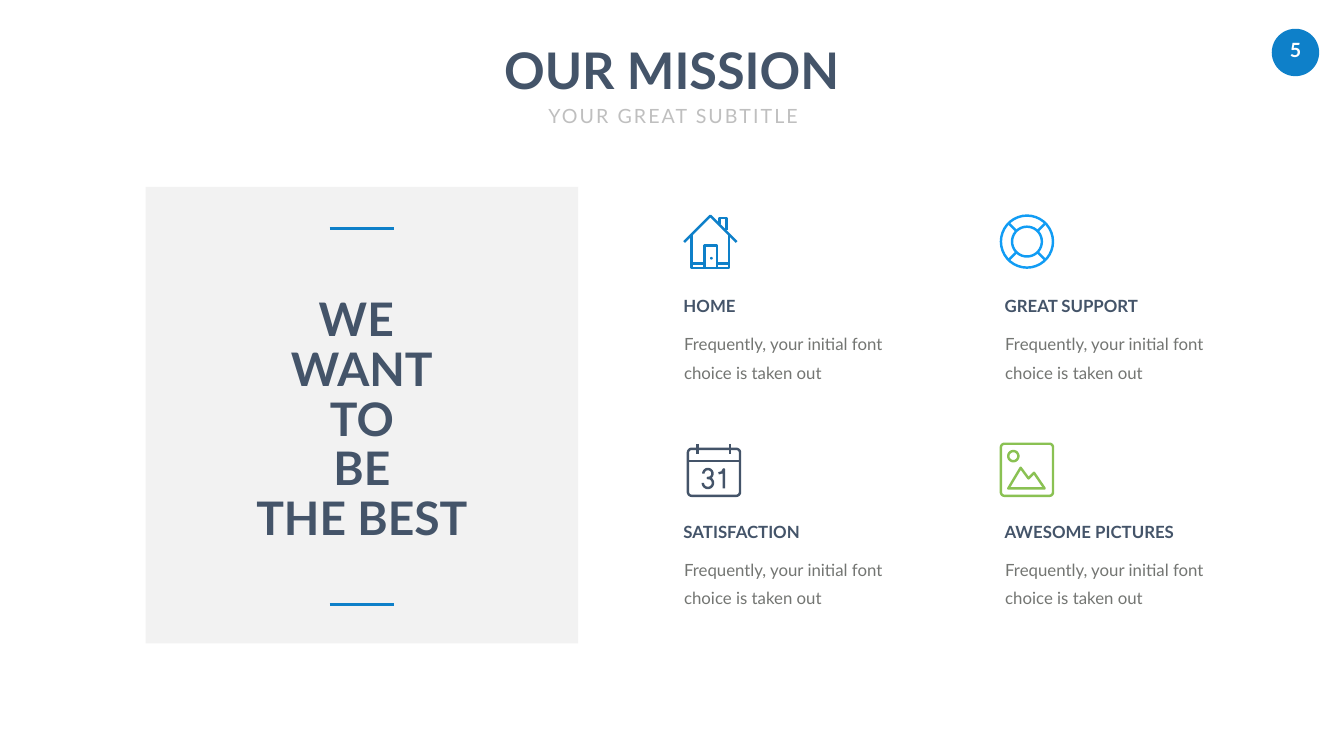
from math import cos, radians, sin

from lxml import etree
from pptx import Presentation
from pptx.dml.color import RGBColor
from pptx.enum.shapes import MSO_CONNECTOR, MSO_SHAPE
from pptx.enum.text import MSO_ANCHOR, MSO_AUTO_SIZE, PP_ALIGN
from pptx.oxml.ns import qn
from pptx.util import Cm, Pt

BLUE = RGBColor(0x0E, 0x80, 0xC9)
SKY = RGBColor(0x11, 0x9C, 0xF4)
NAVY = RGBColor(0x44, 0x54, 0x69)
GREEN = RGBColor(0x8A, 0xC1, 0x53)
GREY = RGBColor(0x73, 0x75, 0x72)
SILVER = RGBColor(0xBF, 0xBF, 0xBF)
PALE = RGBColor(0xF2, 0xF2, 0xF2)
WHITE = RGBColor(0xFF, 0xFF, 0xFF)

LEFT, CENTER = PP_ALIGN.LEFT, PP_ALIGN.CENTER
TOP, MIDDLE = MSO_ANCHOR.TOP, MSO_ANCHOR.MIDDLE
GROW = MSO_AUTO_SIZE.SHAPE_TO_FIT_TEXT
OVAL, RECT = MSO_SHAPE.OVAL, MSO_SHAPE.RECTANGLE
STRAIGHT = MSO_CONNECTOR.STRAIGHT

SMALL, WIDE, ROOMY = (0.25, 0.13), (0.51, 0.25), (0.61, 0.3)
GRID = 108
SIDE = 2.75


def set_all(item, values):
    """Set each attribute of item from a dict."""
    for name, value in values.items():
        setattr(item, name, value)


def add_text(slide, box, lines, size, color, bold=False, align=LEFT, inset=SMALL,
             wrap=False, anchor=TOP, spacing=None, track=0):
    """Add a text box with one paragraph for each line."""
    frame = slide.shapes.add_textbox(*map(Cm, box)).text_frame
    across, down = map(Cm, inset)
    set_all(frame, {"margin_left": across, "margin_right": across,
                    "margin_top": down, "margin_bottom": down, "word_wrap": wrap,
                    "auto_size": GROW, "vertical_anchor": anchor})
    for index, line in enumerate(lines):
        para = frame.add_paragraph() if index else frame.paragraphs[0]
        set_all(para, {"alignment": align, "line_spacing": spacing})
        run = para.add_run()
        run.text = line
        set_all(run.font, {"name": "Lato", "size": Pt(size), "bold": bold})
        run.font.color.rgb = color
        if track:
            run._r.get_or_add_rPr().set("spc", str(track))


def add_solid(slide, kind, box, color):
    """Add a filled preset shape without a line."""
    shape = slide.shapes.add_shape(kind, *map(Cm, box))
    shape.shadow.inherit = False
    shape.fill.solid()
    shape.fill.fore_color.rgb = color
    shape.line.fill.background()


def add_rule(slide, left, top, width):
    """Add a level blue line."""
    rule = slide.shapes.add_connector(STRAIGHT, *map(Cm, (left, top, left + width, top)))
    rule.line.color.rgb = BLUE
    rule.line.width = Pt(4.5)
    etree.SubElement(rule._element.spPr, qn("a:effectLst"))


def arc(x, y, radius, start=0, end=360):
    """Return points along an arc, clockwise in degrees."""
    steps = 36
    turns = [radians(start + (end - start) * i / steps) for i in range(steps + 1)]
    return [(x + radius * cos(t), y + radius * sin(t)) for t in turns]


def frame_path(left, top, right, base, radius):
    """Return the points of a closed box with round corners."""
    spots = [(right - radius, base - radius), (left + radius, base - radius),
             (left + radius, top + radius), (right - radius, top + radius)]
    points = [point for i, (x, y) in enumerate(spots)
              for point in arc(x, y, radius, 90 * i, 90 * i + 90)]
    return points + points[:1]


def house():
    """Return the strokes of the house icon."""
    return [[(2, 55), (54, 3), (106, 55)],
            [(17, 41), (17, 106), (91, 106), (91, 41)],
            [(17, 97), (42, 97)], [(67, 97), (91, 97)],
            [(42, 106), (42, 62), (67, 62), (67, 106)],
            [(72, 20), (72, 7), (86, 7), (86, 32)], arc(56, 87, 0.3)]


def buoy():
    """Return the strokes of the life ring icon."""
    mid, inner, outer = 54, 29.5, 51.5
    spokes = [[(mid + r * cos(t), mid + r * sin(t)) for r in (inner, outer)]
              for t in map(radians, range(45, 360, 90))]
    return [arc(mid, mid, inner), arc(mid, mid, outer)] + spokes


def month():
    """Return the strokes of the calendar icon."""
    return [frame_path(2.5, 12.5, 105.5, 105.5, 7.5), [(2.5, 36.5), (105.5, 36.5)],
            [(21.5, 2.5), (21.5, 22)], [(85.5, 2.5), (85.5, 22)],
            arc(42, 61.5, 9, 180, 450) + arc(42, 80, 10, 270, 540),
            [(63, 61), (70, 59), (73.5, 53), (73.5, 91)]]


def photo():
    """Return the strokes of the picture icon."""
    return [frame_path(2.5, 2.5, 105.5, 105.5, 7), arc(27, 27, 10),
            [(17, 91), (41.5, 50), (57, 71), (68, 60), (89, 91), (17, 91)]]


def add_icon(slide, left, top, strokes, color):
    """Draw all strokes as one outline."""
    unit = Cm(SIDE) / GRID / 100
    paths = [[(x * 100, y * 100) for x, y in path] for path in strokes]
    pen = slide.shapes.build_freeform(*paths[0][0], scale=unit)
    pen.add_line_segments(paths[0][1:], close=False)
    for path in paths[1:]:
        pen.move_to(*path[0])
        pen.add_line_segments(path[1:], close=False)
    icon = pen.convert_to_shape(Cm(left), Cm(top))
    icon.shadow.inherit = False
    icon.fill.background()
    icon.line.color.rgb = color
    icon.line.width = Pt(3.5)


def add_header(slide, left, top, width):
    """Place the title and subtitle."""
    add_text(slide, (left, top, width, 3.33), ["OUR MISSION"], 72, NAVY, True, CENTER)
    add_text(slide, (left + 1.8, top + 2.87, 14.2, 2.06), ["YOUR GREAT SUBTITLE"], 28,
             SILVER, align=CENTER, inset=ROOMY, spacing=1.2, track=300)


def add_badge(slide, left, top, side):
    """Place the page number in its disc."""
    add_solid(slide, OVAL, (left, top, side, side), BLUE)
    add_text(slide, (left + 0.08, top + 0.23, 2.24, 1.7), ["5"], 28, WHITE, True,
             CENTER, inset=WIDE)


def add_panel(slide, left, top, width, height):
    """Place the motto between two rules on a pale panel."""
    add_solid(slide, RECT, (left, top, width, height), PALE)
    for down in (2.08, height - 1.98):
        add_rule(slide, left + 9.27, top + down, 3.25)
    add_text(slide, (left + 5.23, top + 5.36, 11.33, 12.9),
             ["WE ", "WANT", "TO", "BE", "THE BEST"], 66, NAVY, True, CENTER,
             spacing=Pt(71.2))


def add_item(slide, left, top, title, width, strokes, color, shift, drop):
    """Place an icon, a title and a body text."""
    add_icon(slide, left + shift, top + drop, strokes, color)
    add_text(slide, (left + 0.33, top + 3.99, width, 1.27), [title], 24, NAVY, True,
             anchor=MIDDLE)
    add_text(slide, (left, top + 5.33, 12.12, 3.45),
             ["Frequently, your initial font choice is taken out"], 24, GREY,
             inset=ROOMY, wrap=True, spacing=Pt(40.4))


def main():
    """Build the slide and save it."""
    deck = Presentation()
    set_all(deck, {"slide_width": Cm(67.72), "slide_height": Cm(38.1)})
    slide = deck.slides.add_slide(deck.slide_layouts[6])
    add_badge(slide, 64.08, 1.45, 2.39)
    add_panel(slide, 7.34, 9.42, 21.79, 23.01)
    items = [("HOME", 3.15, house(), BLUE, 0.56, 0),
             ("GREAT SUPPORT", 7.47, buoy(), SKY, 0.33, 0),
             ("SATISFACTION", 6.71, month(), NAVY, 0.74, 0.12),
             ("AWESOME PICTURES", 9.27, photo(), GREEN, 0.33, 0.12)]
    for index, item in enumerate(items):
        row, col = divmod(index, 2)
        add_item(slide, 33.86 + 16.18 * col, 10.8 + 11.38 * row, *item)
    add_header(slide, 25.02, 1.83, 17.65)
    deck.save("out.pptx")


if __name__ == "__main__":
    main()
